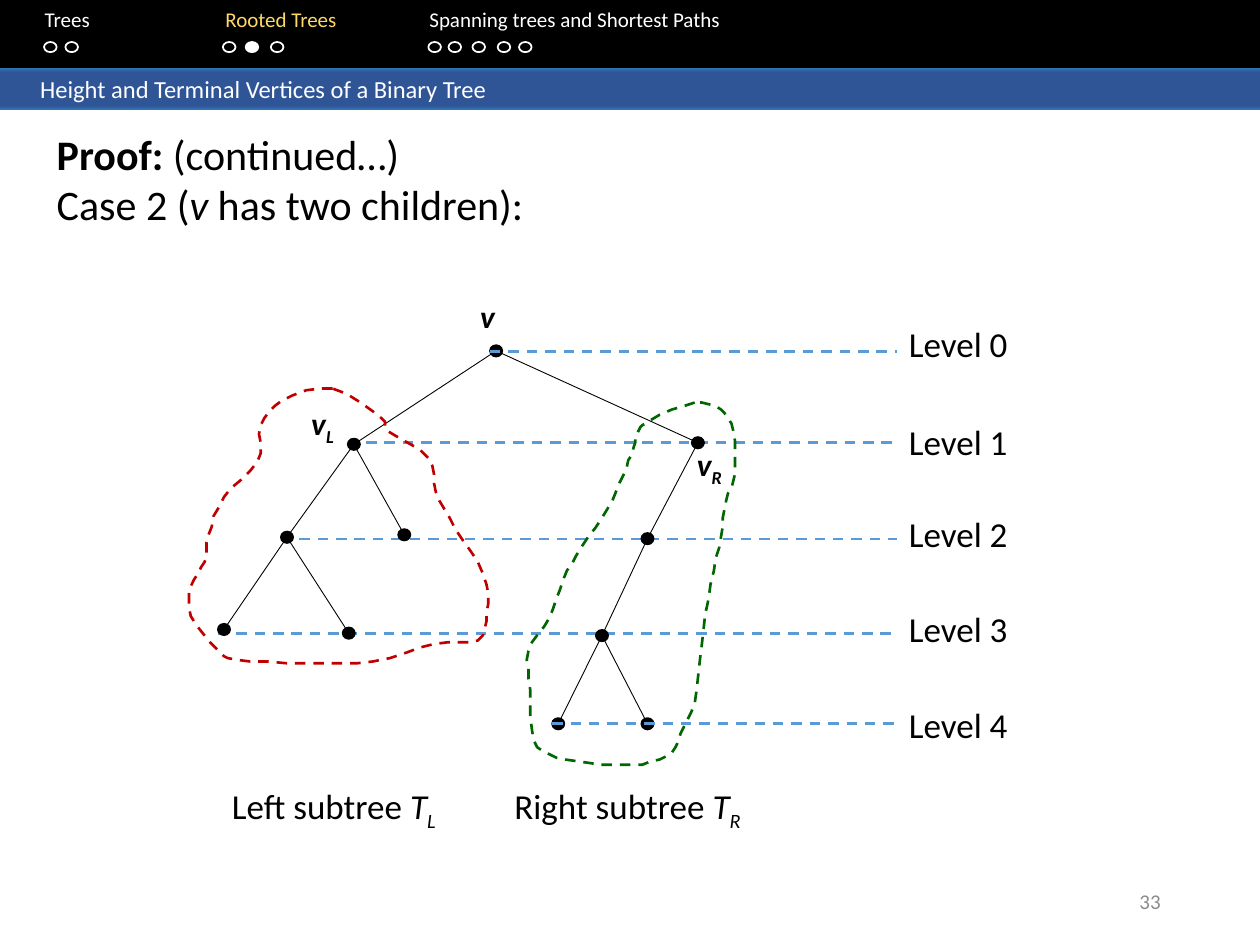
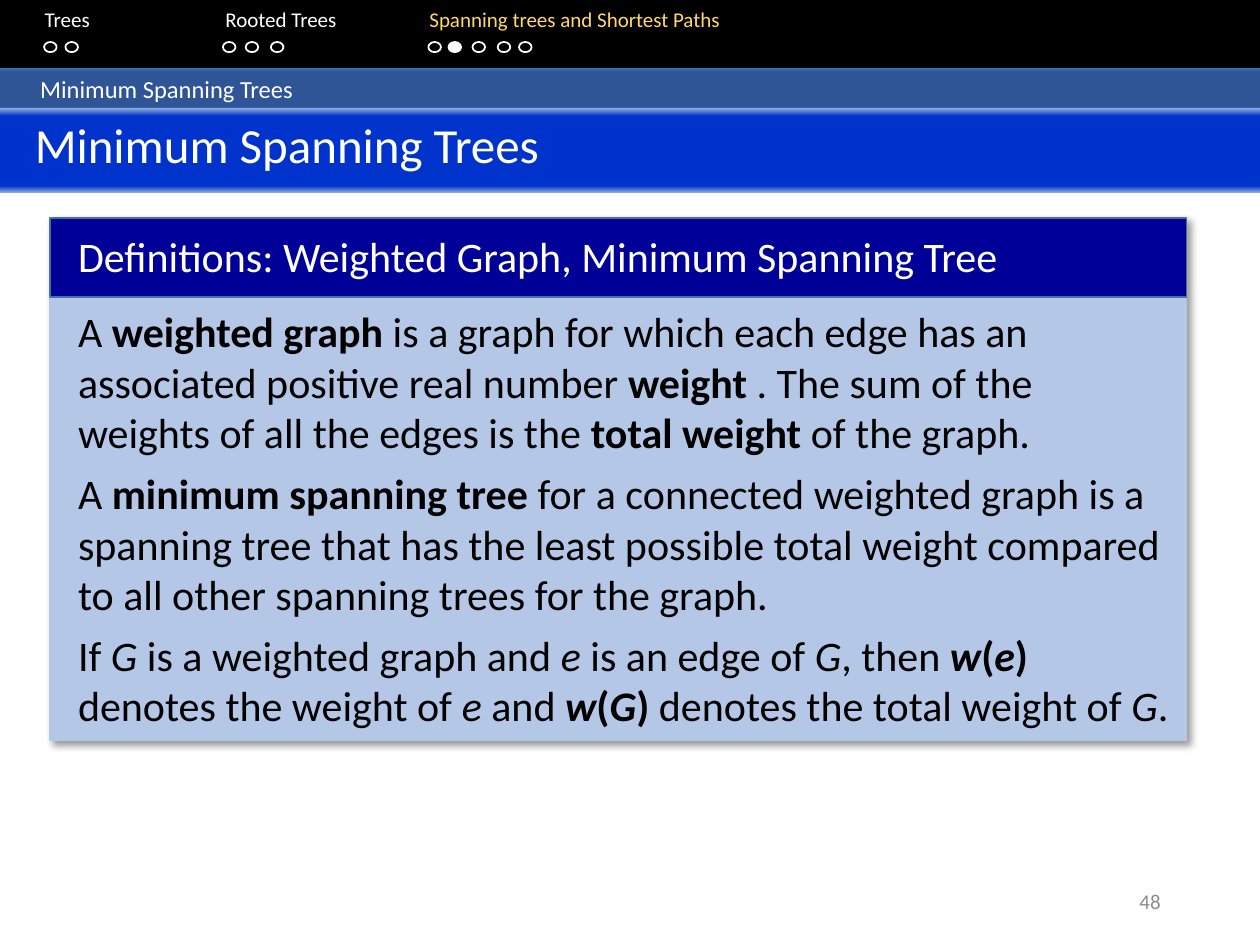
from copy import deepcopy
from lxml import etree
from pptx import Presentation
from pptx.dml.color import RGBColor
from pptx.enum.dml import MSO_LINE
from pptx.enum.shapes import MSO_CONNECTOR, MSO_SHAPE
from pptx.enum.text import MSO_ANCHOR, MSO_AUTO_SIZE, PP_ALIGN
from pptx.oxml.ns import qn
from pptx.util import Pt

RECTANGLE, OVAL = MSO_SHAPE.RECTANGLE, MSO_SHAPE.OVAL
STRAIGHT = MSO_CONNECTOR.STRAIGHT
DASH = MSO_LINE.DASH
TOP, MIDDLE = MSO_ANCHOR.TOP, MSO_ANCHOR.MIDDLE
LEFT, CENTER, RIGHT = PP_ALIGN.LEFT, PP_ALIGN.CENTER, PP_ALIGN.RIGHT
NO_AUTOFIT = MSO_AUTO_SIZE.NONE

BLACK = RGBColor(0x00, 0x00, 0x00)
WHITE = RGBColor(0xFF, 0xFF, 0xFF)
GOLD = RGBColor(0xFF, 0xD9, 0x66)
GRAY = RGBColor(0x8C, 0x8C, 0x8C)
BAND_EDGE = RGBColor(0x2E, 0x75, 0xB6)
BAND_CORE = RGBColor(0x2F, 0x55, 0x97)
HEADING_EDGE = RGBColor(0x8F, 0xAA, 0xDC)
HEADING_CORE = RGBColor(0x00, 0x33, 0xCC)
PANEL = RGBColor(0xB4, 0xC7, 0xE7)
NAVY = RGBColor(0x00, 0x00, 0x99)
NAVY_LINE = RGBColor(0x43, 0x73, 0x9E)
LEVEL_BLUE = RGBColor(0x5B, 0x9B, 0xD5)
RED = RGBColor(0xC0, 0x00, 0x00)
GREEN = RGBColor(0x00, 0x66, 0x00)
FONT = "Calibri"

SECTIONS = [
    ("Trees", 18.5, [25.2, 37.4]),
    ("Rooted Trees", 121.7, [127.4, 140.4, 154.8]),
    ("Spanning trees and Shortest Paths", 238.3, [244.8, 256.3, 270, 284.4, 296.6]),
]


def write(paragraph, pieces, size, color, align=LEFT):
    paragraph.alignment = align
    for text, style in pieces:
        run = paragraph.add_run()
        run.text = text
        run.font.name = FONT
        run.font.size = Pt(size)
        run.font.color.rgb = color
        run.font.bold = "b" in style
        run.font.italic = "i" in style
        if "s" in style:
            run.font._element.set("baseline", "-25000")


def add_shape(slide, kind, box, fill=None, line=None):
    shape = slide.shapes.add_shape(kind, *map(Pt, box))
    shape.shadow.inherit = False
    if fill is None:
        shape.fill.background()
    else:
        shape.fill.solid()
        shape.fill.fore_color.rgb = fill
    if line is None:
        shape.line.fill.background()
    else:
        shape.line.color.rgb = line
        shape.line.width = Pt(1)
    return shape


proof = [
    [("Proof: ", "b"), ("(continued…)", "")],
    [("Case 2 (", ""), ("v", "i"), (" has two children):", "")],
]
definitions = [
    [("A ", ""), ("weighted graph ", "b"),
     ("is a graph for which each edge has an associated positive real number ", ""),
     ("weight ", "b"), (". The sum of the weights of all the edges is the ", ""),
     ("total weight", "b"), (" of the graph.", "")],
    [("A ", ""), ("minimum spanning tree ", "b"),
     ("for a connected weighted graph is a spanning tree that has the least possible "
      "total weight compared to all other spanning trees for the graph.", "")],
    [("If ", ""), ("G", "i"), (" is a weighted graph and ", ""), ("e", "i"),
     (" is an edge of ", ""), ("G", "i"), (", then ", ""),
     ("w", "bi"), ("(", "b"), ("e", "bi"), (")", "b"),
     (" denotes the weight of ", ""), ("e", "i"), (" and ", ""),
     ("w", "bi"), ("(", "b"), ("G", "bi"), (")", "b"),
     (" denotes the total weight of ", ""), ("G", "i"), (".", "")],
]
slide_plans = [
    ("Height and Terminal Vertices of a Binary Tree", 1, 1, "33",
     (25.2, 69.8, 654.5, 65.5), 0, proof),
    ("Minimum Spanning Trees", 2, 1, "48",
     (37.4, 171.2, 638.5, 252), 6, definitions),
]

presentation = Presentation()
presentation.slide_width, presentation.slide_height = Pt(720), Pt(540)
bands = []

for title_text, section, active_dot, page, body_box, space_after, body_text in slide_plans:
    slide = presentation.slides.add_slide(presentation.slide_layouts[1])
    add_shape(slide, RECTANGLE, (0, 0, 720, 38.9), BLACK)

    navigation = slide.shapes.add_textbox(0, 0, Pt(720), Pt(36))
    navigation.text_frame.word_wrap = True
    paragraph = navigation.text_frame.paragraphs[0]
    write(paragraph, [("\t" + name, "") for name, _, _ in SECTIONS], 12, WHITE)
    paragraph.runs[section].font.color.rgb = GOLD
    tabs = etree.SubElement(paragraph._p.get_or_add_pPr(), qn("a:tabLst"))
    for index, (_, tab, dots) in enumerate(SECTIONS):
        etree.SubElement(tabs, qn("a:tab"), pos=str(Pt(tab)), algn="l")
        for number, left in enumerate(dots):
            active = (index, number) == (section, active_dot)
            add_shape(slide, OVAL, (left, 24, 7.2, 5.8), WHITE if active else None, WHITE)

    page_number = slide.shapes.add_textbox(Pt(508.3), Pt(500.4), Pt(162), Pt(28.8))
    page_number.text_frame.vertical_anchor = MIDDLE
    page_number.text_frame.word_wrap = True
    write(page_number.text_frame.paragraphs[0], [(page, "")], 12, GRAY, RIGHT)

    title = slide.shapes.title
    title.left, title.top, title.width, title.height = map(Pt, (0, 38.9, 720, 23.8))
    bands.append((title, title_text, 14, 22.9, BAND_EDGE, BAND_CORE, (0, 0.11, 0.91, 1)))

    body = slide.placeholders[1]
    body.left, body.top, body.width, body.height = map(Pt, body_box)
    body.text_frame.auto_size = NO_AUTOFIT
    for index, pieces in enumerate(body_text):
        paragraph = body.text_frame.add_paragraph() if index else body.text_frame.paragraphs[0]
        write(paragraph, pieces, 24, BLACK)
        paragraph.space_before = Pt(0)
        paragraph.space_after = Pt(space_after)
        properties = paragraph._p.get_or_add_pPr()
        properties.set("marL", "0")
        properties.set("indent", "0")
        etree.SubElement(properties, qn("a:buNone"))

tree_slide, definition_slide = presentation.slides

heading = add_shape(definition_slide, RECTANGLE, (0, 62, 720, 48.2), HEADING_CORE)
bands.append((heading, "Minimum Spanning Trees", 28, 19.9,
              HEADING_EDGE, HEADING_CORE, (0, 0.09, 0.92, 1)))

for band, text, size, margin, edge, core, positions in bands:
    band.fill.gradient()
    band.fill.gradient_angle = 270
    stop_list = band.element.find(".//" + qn("a:gsLst"))
    for stop in list(stop_list):
        stop_list.append(deepcopy(stop))
    for stop, color, position in zip(band.fill.gradient_stops, (edge, core, core, edge), positions):
        stop.color.rgb = color
        stop.position = position
    frame = band.text_frame
    frame.auto_size = NO_AUTOFIT
    frame.vertical_anchor = TOP
    frame.margin_left = Pt(margin)
    write(frame.paragraphs[0], [(text, "")], size, WHITE)

DOT_WIDTH, DOT_HEIGHT = 7, 6.5
LEVEL_END = 512.6
FRONT_LEVELS = (0, 4)
SMOOTHING_STEPS = 4

vertex_centers = {
    "v": (283.5, 200.5),
    "vL": (202.2, 253.9), "vR": (398.8, 253),
    "vLL": (164, 307), "vLR": (231, 305.6), "vRL": (370, 307.8),
    "vLLL": (128, 359.7), "vLLR": (199.3, 361.8), "vRLL": (344, 363.2),
    "vRLLL": (319, 413.6), "vRLLR": (370, 413.6),
}
levels = [(201, 180.7), (253, 236.9), (308, 289.4), (362, 343.4), (413.5, 398.2)]

strokes = []
for name, center in vertex_centers.items():
    parent = name[:-1]
    if parent:
        strokes.append((vertex_centers[parent], center, None))
for level, (line_y, _) in enumerate(levels):
    leftmost = min(x for name, (x, _) in vertex_centers.items() if len(name) == level + 1)
    strokes.append(((leftmost - DOT_WIDTH / 2, line_y), (LEVEL_END, line_y), level))

front_lines = []
for start, end, level in strokes:
    connector = tree_slide.shapes.add_connector(STRAIGHT, *map(Pt, start + end))
    is_level = level is not None
    connector.line.color.rgb = LEVEL_BLUE if is_level else BLACK
    connector.line.width = Pt(1.5 if is_level else 0.5)
    if is_level:
        connector.line.dash_style = DASH
    etree.SubElement(connector.element.spPr, qn("a:effectLst"))
    if level in FRONT_LEVELS:
        front_lines.append(connector)

for x, y in vertex_centers.values():
    dot_box = (x - DOT_WIDTH / 2, y - DOT_HEIGHT / 2, DOT_WIDTH, DOT_HEIGHT)
    add_shape(tree_slide, OVAL, dot_box, BLACK, BLACK)
for connector in front_lines:
    tree_slide.shapes.element.append(connector.element)

left_margins = [
    ("vL", [(-12, -32), (-41, -25), (-53, -11), (-55, 10)]),
    ("vLL", [(-36, -23), (-45, -1)]),
    ("vLLL", [(-11, -39), (-19, -25), (-19, -8), (-4, 11), (7, 17)]),
    ("vLLR", [(-25, 17), (14, 16), (49, 6), (74, 4), (79, -12), (77, -34)]),
    ("vLR", [(29, -4), (18, -25), (14, -44)]),
    ("vL", [(19, -8), (16, -15)]),
]
right_margins = [
    ("vR", [(-2, -23), (-27, -13), (-34, -7), (-37, 3), (-43, 19)]),
    ("vRL", [(-23, -17), (-38, 5)]),
    ("vRLL", [(-22, -32), (-30, -10), (-42, 9)]),
    ("vRLLL", [(-16, -20), (-14, 9), (-1, 19)]),
    ("vRLLR", [(-27, 23), (-3, 23), (14, 16), (19, 5), (27, -12), (31, -45)]),
    ("vRL", [(36, 26), (42, -1)]),
    ("vR", [(16, 33), (21, 18), (20, -7), (13, -19)]),
]
for margins, color in ((left_margins, RED), (right_margins, GREEN)):
    anchors = [(vertex_centers[name][0] + dx, vertex_centers[name][1] + dy)
               for name, offsets in margins for dx, dy in offsets]
    outline = []
    for index, current in enumerate(anchors):
        previous = anchors[index - 1]
        following, after = (anchors[(index + ahead) % len(anchors)] for ahead in (1, 2))
        for step in range(SMOOTHING_STEPS):
            t = step / SMOOTHING_STEPS
            outline.append([
                b + t / 2 * (c - a + t * (2 * a - 5 * b + 4 * c - d + t * (3 * b - a - 3 * c + d)))
                for a, b, c, d in zip(previous, current, following, after)])
    builder = tree_slide.shapes.build_freeform(*outline[0], scale=float(Pt(1)))
    builder.add_line_segments(outline[1:], close=True)
    subtree = builder.convert_to_shape()
    subtree.shadow.inherit = False
    subtree.fill.background()
    subtree.line.color.rgb = color
    subtree.line.width = Pt(1.5)
    subtree.line.dash_style = DASH

labels = [
    ((260.6, 166.3, 36, 29.5), [("v", "bi")], 18),
    ((166.3, 227.5, 36, 29.5), [("v", "bi"), ("L", "bis")], 18),
    ((387.4, 250.6, 36, 29.5), [("v", "bi"), ("R", "bis")], 18),
]
for side, letter, left in (("Left", "L", 105.8), ("Right", "R", 273.6)):
    pieces = [(f"{side} subtree ", ""), ("T", "i"), (letter, "is")]
    labels.append(((left, 445, 170, 31.7), pieces, 20))
for level, (_, label_top) in enumerate(levels):
    labels.append(((481.7, label_top, 131.8, 31.7), [(f"Level {level}", "")], 20))
for box, pieces, size in labels:
    label = tree_slide.shapes.add_textbox(*map(Pt, box))
    label.text_frame.word_wrap = True
    write(label.text_frame.paragraphs[0], pieces, size, BLACK, CENTER)

panel = add_shape(definition_slide, RECTANGLE, (28.6, 124.4, 649.4, 298.8), PANEL, PANEL)
shadow = etree.SubElement(panel.element.spPr.find(qn("a:effectLst")), qn("a:outerShdw"),
                          blurRad=str(Pt(4)), dist=str(Pt(3)), dir="2700000", algn="tl")
shadow_color = etree.SubElement(shadow, qn("a:srgbClr"), val=str(BLACK))
etree.SubElement(shadow_color, qn("a:alpha"), val="40000")

panel_header = add_shape(definition_slide, RECTANGLE, (28.6, 124.4, 649.4, 45.2), NAVY, NAVY_LINE)
header_frame = panel_header.text_frame
header_frame.vertical_anchor = TOP
header_frame.margin_left, header_frame.margin_top = Pt(16), Pt(7.4)
write(header_frame.paragraphs[0],
      [("Definitions: Weighted Graph, Minimum Spanning Tree", "")], 24, WHITE)
definition_slide.shapes.element.append(definition_slide.placeholders[1].element)

presentation.save("out.pptx")
